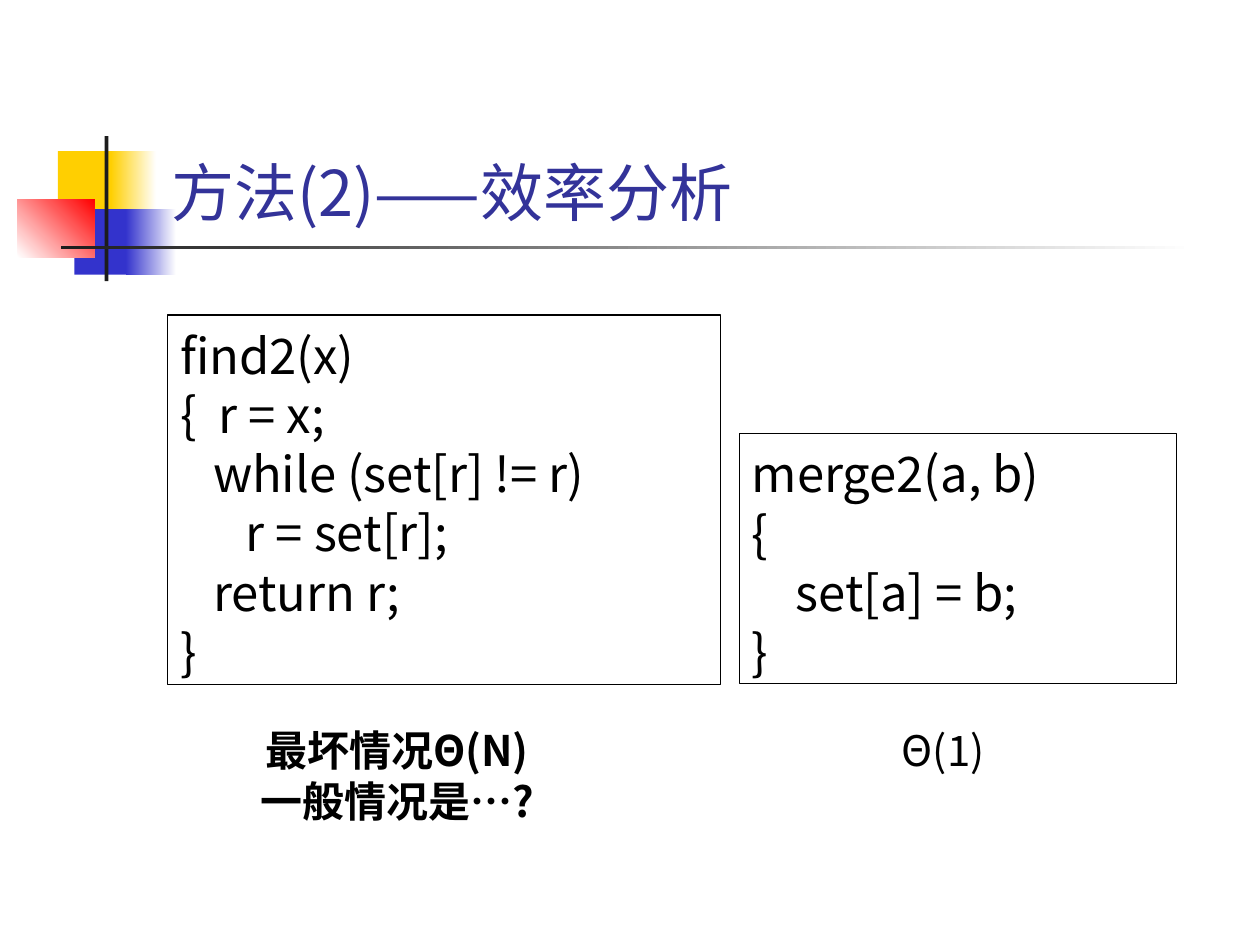
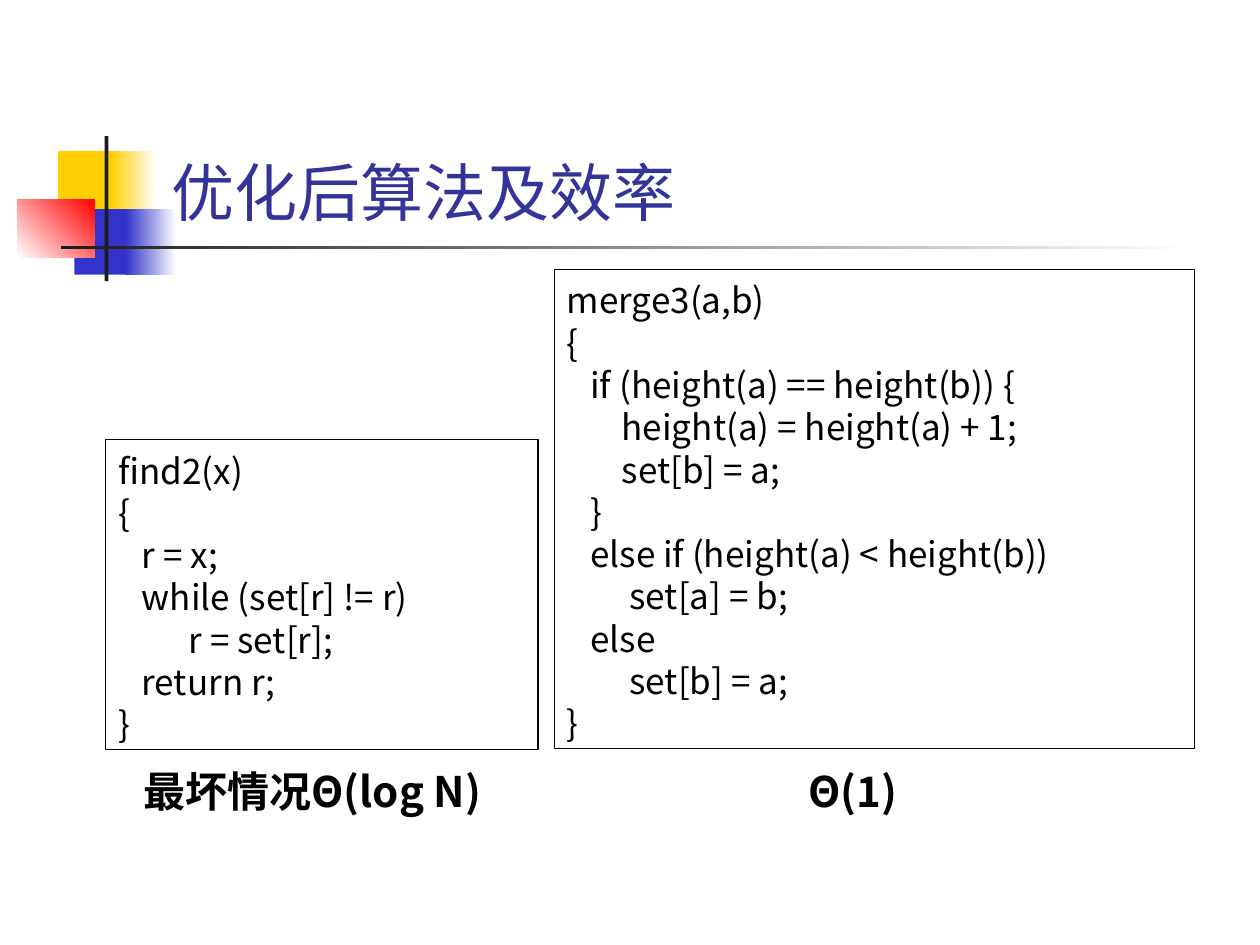
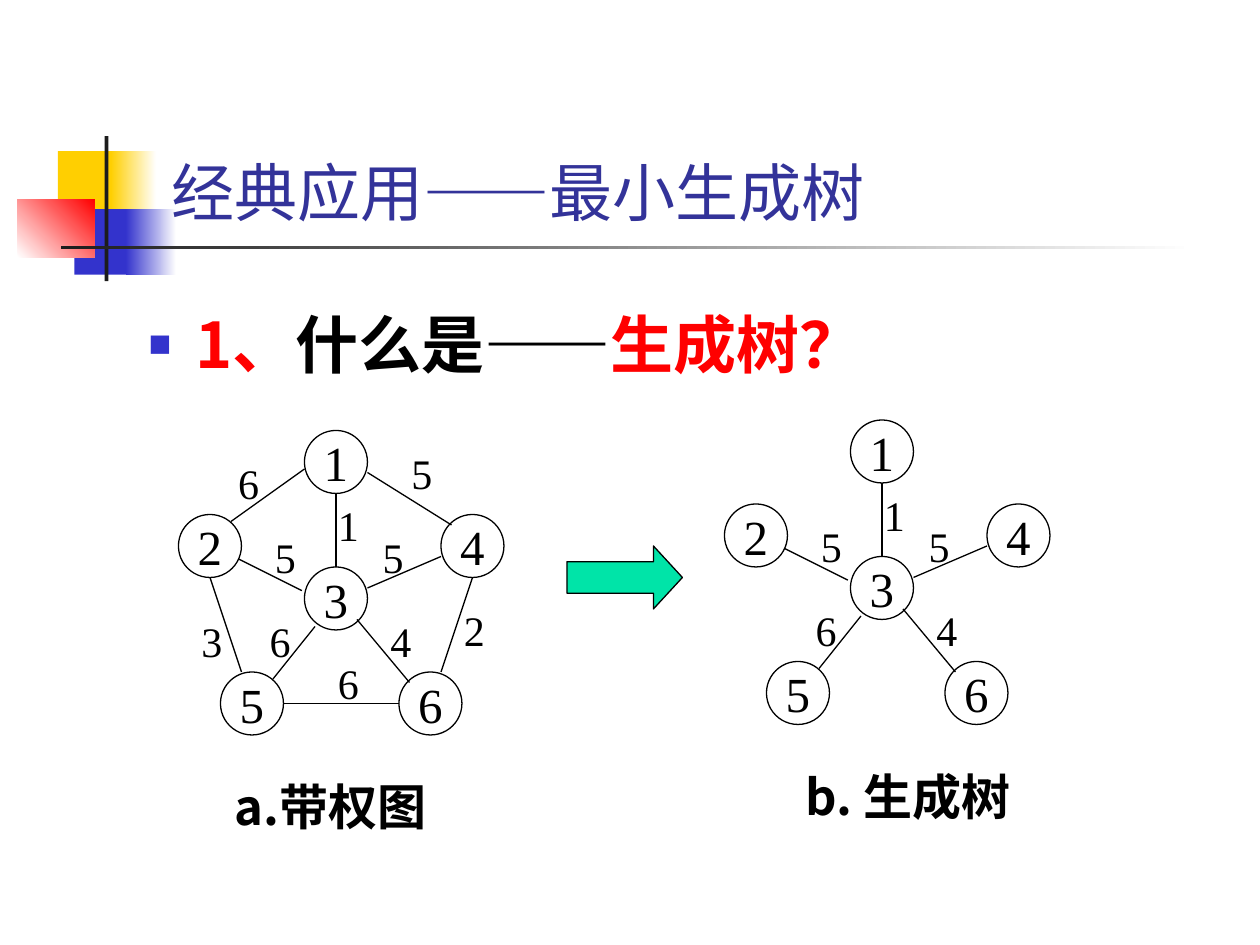
from dataclasses import dataclass
from typing import NamedTuple, Optional

from lxml.etree import SubElement
from pptx import Presentation
from pptx.dml.color import RGBColor
from pptx.enum.shapes import MSO_CONNECTOR as Connector, MSO_SHAPE as Preset
from pptx.enum.text import MSO_ANCHOR as Anchor, PP_ALIGN as Align
from pptx.oxml.ns import qn
from pptx.util import Pt


@dataclass(frozen=True)
class Theme:
    black: str = "000000"
    white: str = "FFFFFF"
    ink: str = "1C1C1C"
    yellow: str = "FFCF01"
    blue: str = "3333CC"
    red: str = "FF0000"
    green: str = "00E4A8"
    title: str = "333399"
    heading_size: float = 36
    large: float = 28
    medium: float = 24
    small: float = 20
    hairline: float = 0.75
    line_height: float = 1.207
    cjk_drop: float = 0.08      # baseline shift of the CJK fonts, in ems
    space_width: float = 0.224  # width of a space, in ems
    arial: str = "Arial"
    korean: str = "Noto Sans CJK KR"
    chinese: str = "Noto Sans CJK SC"
    serif: str = "Times New Roman"


THEME = Theme()


class Rect(NamedTuple):
    left: float
    top: float
    width: float
    height: float


class Span(NamedTuple):
    text: str
    font: str = THEME.chinese
    color: str = THEME.black
    bold: bool = False


class Band(NamedTuple):
    rect: Rect
    start: str
    end: Optional[str] = None
    angle: float = 0


class CodeLine(NamedTuple):
    indent: int
    text: str


class Edge(NamedTuple):
    weight: str
    start: tuple[float, float]
    end: tuple[float, float]
    label: tuple[float, float]
    in_tree: bool = False


BANDS = [
    Band(Rect(33.1, 86.4, 34.6, 37.4), THEME.yellow),
    Band(Rect(63.4, 86.4, 25.9, 37.4), THEME.yellow, THEME.white),
    Band(Rect(42.5, 119.5, 33.1, 37.4), THEME.blue),
    Band(Rect(72, 119.5, 28.8, 37.4), THEME.blue, THEME.white),
    Band(Rect(10.1, 113.8, 43.9, 33.1), THEME.white, THEME.red, 45),
    Band(Rect(59.8, 77.8, 2.2, 82.8), THEME.ink),
    Band(Rect(34.6, 140.4, 648, 2.2), THEME.ink, THEME.white),
]
TITLE_RECT = Rect(90.7, 16.6, 613.4, 115.2)

FIND_COMPACT = [
    CodeLine(0, "find2(x)"),
    CodeLine(0, "{  r = x;"),
    CodeLine(3, "while (set[r] != r)"),
    CodeLine(6, "r = set[r];"),
    CodeLine(3, "return r;"),
    CodeLine(0, "}"),
]
FIND = [
    CodeLine(0, "find2(x)"),
    CodeLine(0, "{"),
    CodeLine(3, "r = x;"),
    CodeLine(3, "while (set[r] != r)"),
    CodeLine(9, "r = set[r];"),
    CodeLine(3, "return r;"),
    CodeLine(0, "}"),
]
MERGE = [
    CodeLine(0, "merge2(a, b)"),
    CodeLine(0, "{"),
    CodeLine(4, "set[a] = b;"),
    CodeLine(0, "}"),
]
MERGE_BY_HEIGHT = [
    CodeLine(0, "merge3(a,b)"),
    CodeLine(0, "{"),
    CodeLine(3, "if (height(a) == height(b)) {"),
    CodeLine(7, "height(a) = height(a) + 1;"),
    CodeLine(7, "set[b] = a;"),
    CodeLine(3, "}"),
    CodeLine(3, "else if (height(a) < height(b))"),
    CodeLine(8, "set[a] = b;"),
    CodeLine(3, "else"),
    CodeLine(8, "set[b] = a;"),
    CodeLine(0, "}"),
]

NODE_SIZE = 36
NODES = {"1": (174, 246), "2": (102, 294), "3": (174, 324),
         "4": (252, 294), "5": (126, 384), "6": (228, 384)}
EDGES = [
    Edge("6", (132, 298), (174, 268), (129, 258)),
    Edge("6", (156, 388), (180, 358), (147, 348), in_tree=True),
    Edge("5", (210, 336), (252, 318), (211.5, 300), in_tree=True),
    Edge("5", (136.5, 319.5), (172.5, 337.5), (150, 300), in_tree=True),
    Edge("5", (210, 270), (258, 300), (228, 252)),
    Edge("2", (252, 384), (270, 330), (258, 342)),
    Edge("3", (138, 384), (120, 330), (108, 348)),
    Edge("6", (162, 402), (228, 402), (186, 372)),
    Edge("1", (192, 324), (192, 282), (186, 282), in_tree=True),
    Edge("4", (204, 354), (234, 390), (216, 348), in_tree=True),
]
TREE_SHIFT = (312, -6)


def rgb(color: str) -> RGBColor:
    return RGBColor.from_string(color)


def points(rect) -> list[int]:
    return [Pt(value) for value in rect]


def add_span(para, span: Span, size: float) -> None:
    run = para.add_run()
    run.text = span.text
    run.font.size = Pt(size)
    run.font.bold = span.bold
    run.font.color.rgb = rgb(span.color)
    run.font.name = span.font
    asian = THEME.korean if span.font == THEME.korean else THEME.chinese
    SubElement(run.font._element, qn("a:ea"), typeface=asian)


def write(shape, lines: list[list[Span]], size: float, align=Align.LEFT,
          anchor=Anchor.TOP, wrap: bool = True) -> None:
    """Fill a shape with one paragraph per list of spans."""
    frame = shape.text_frame
    frame.word_wrap = wrap
    frame.vertical_anchor = anchor
    drop = 0 if lines[0][0].font == THEME.serif else size * THEME.cjk_drop
    frame.margin_top, frame.margin_bottom = Pt(3.6 + drop), Pt(3.6 - drop)
    for index, spans in enumerate(lines):
        para = frame.add_paragraph() if index else frame.paragraphs[0]
        para.alignment = align
        para.line_spacing = Pt(size * THEME.line_height)
        for span in spans:
            add_span(para, span, size)


def set_indent(para, margin: float, first: float = 0):
    props = para._p.get_or_add_pPr()
    props.set("marL", str(Pt(margin)))
    props.set("indent", str(Pt(first)))
    return props


def add_bullet(para) -> None:
    props = set_indent(para, 27, -27)
    color = SubElement(props, qn("a:buClr"))
    SubElement(color, qn("a:srgbClr"), val=THEME.blue)
    SubElement(props, qn("a:buSzPct"), val="60000")
    SubElement(props, qn("a:buFont"), typeface=THEME.arial)
    SubElement(props, qn("a:buChar"), char="■")


def add_text(page, rect: Rect, lines: list[list[Span]], size: float, **layout):
    box = page.shapes.add_textbox(*points(rect))
    write(box, lines, size, **layout)
    return box


def add_outlined(page, preset, rect: Rect, fill: Optional[str] = None):
    shape = page.shapes.add_shape(preset, *points(rect))
    shape.shadow.inherit = False
    shape.line.color.rgb = rgb(THEME.black)
    shape.line.width = Pt(THEME.hairline)
    if fill:
        shape.fill.solid()
        shape.fill.fore_color.rgb = rgb(fill)
    else:
        shape.fill.background()
    return shape


def add_band(page, band: Band) -> None:
    shape = page.shapes.add_shape(Preset.RECTANGLE, *points(band.rect))
    shape.shadow.inherit = False
    shape.line.fill.background()
    if band.end is None:
        shape.fill.solid()
        shape.fill.fore_color.rgb = rgb(band.start)
        return
    shape.fill.gradient()
    shape.fill.gradient_angle = band.angle
    for stop, color in zip(shape.fill.gradient_stops, (band.start, band.end)):
        stop.color.rgb = rgb(color)


def add_page(deck, title: list[Span], rect: Rect = TITLE_RECT):
    """Add a slide with the shared bands and a title."""
    page = deck.slides.add_slide(deck.slide_layouts[6])
    for band in BANDS:
        add_band(page, band)
    add_text(page, rect, [title], THEME.heading_size, anchor=Anchor.BOTTOM)
    return page


def title_span(text: str, font: str = THEME.arial) -> Span:
    return Span(text, font, THEME.title)


def add_code(page, rect: Rect, code: list[CodeLine], size: float) -> None:
    box = add_outlined(page, Preset.RECTANGLE, rect)
    write(box, [[Span(line.text, THEME.korean)] for line in code], size)
    for para, line in zip(box.text_frame.paragraphs, code):
        set_indent(para, line.indent * THEME.space_width * size)


def add_edge(page, start: tuple[float, float], end: tuple[float, float]) -> None:
    line = page.shapes.add_connector(Connector.STRAIGHT, *points(start + end))
    line.line.color.rgb = rgb(THEME.black)
    line.line.width = Pt(THEME.hairline)
    SubElement(line._element.spPr, qn("a:effectLst"))


def add_graph(page, edges: list[Edge], shift: tuple[float, float] = (0, 0)) -> None:
    def moved(point: tuple[float, float]) -> tuple[float, float]:
        return point[0] + shift[0], point[1] + shift[1]

    for name, corner in NODES.items():
        node = add_outlined(page, Preset.OVAL, Rect(*moved(corner), NODE_SIZE, NODE_SIZE))
        write(node, [[Span(name, THEME.serif)]], THEME.large,
              align=Align.CENTER, anchor=Anchor.MIDDLE, wrap=False)
    for edge in edges:
        add_edge(page, moved(edge.start), moved(edge.end))
        add_text(page, Rect(*moved(edge.label), 24, 36), [[Span(edge.weight, THEME.serif)]],
                 THEME.medium, align=Align.CENTER, wrap=False)


def build_analysis(deck) -> None:
    page = add_page(deck, [title_span("方法"), title_span("(2)——", THEME.korean),
                           title_span("效率分析")], Rect(90.7, 63.4, 434.2, 68.4))
    add_code(page, Rect(95.8, 180, 316.1, 211), FIND_COMPACT, THEME.large)
    add_code(page, Rect(422.6, 247.7, 249.8, 142.9), MERGE, THEME.large)
    add_text(page, Rect(506.2, 408.2, 65.5, 36), [[Span("Θ(1)", THEME.korean)]],
             THEME.medium, align=Align.CENTER, wrap=False)
    add_text(page, Rect(124.6, 408.2, 204.5, 65.5),
             [[Span("最坏情况Θ(N)", bold=True)], [Span("一般情况是…?", bold=True)]],
             THEME.medium, align=Align.CENTER, anchor=Anchor.MIDDLE)


def build_optimised(deck) -> None:
    page = add_page(deck, [title_span("优化后算法及效率")])
    add_code(page, Rect(316.8, 154.1, 365.8, 273.6), MERGE_BY_HEIGHT, THEME.small)
    add_code(page, Rect(60.5, 251.3, 247, 177.1), FIND, THEME.small)
    add_text(page, Rect(74.9, 432, 231.8, 36),
             [[Span("最坏情况", bold=True), Span("Θ(log N)", THEME.korean, bold=True)]],
             THEME.medium)
    add_text(page, Rect(455, 432, 65.5, 36), [[Span("Θ(1)", THEME.korean, bold=True)]],
             THEME.medium)


def build_spanning_tree(deck) -> None:
    page = add_page(deck, [title_span("经典应用——最小生成树")])
    question = [Span("1、", color=THEME.red, bold=True), Span("什么是——", bold=True),
                Span("生成树？", color=THEME.red, bold=True)]
    box = add_text(page, Rect(77.8, 167.8, 468, 59.8), [question], THEME.heading_size)
    add_bullet(box.text_frame.paragraphs[0])

    add_graph(page, EDGES)
    add_graph(page, [edge for edge in EDGES if edge.in_tree], TREE_SHIFT)
    arrow = add_outlined(page, Preset.RIGHT_ARROW, Rect(324, 312, 66, 36), THEME.green)
    arrow.adjustments[0], arrow.adjustments[1] = 0.5, 0.46
    for caption, rect in (("a.带权图", Rect(120, 438, 138, 41)),
                          ("b. 生成树", Rect(438, 432, 162, 41))):
        add_text(page, rect, [[Span(caption, bold=True)]], THEME.large, align=Align.CENTER)


def main() -> None:
    deck = Presentation()
    deck.slide_width, deck.slide_height = Pt(720), Pt(540)
    build_analysis(deck)
    build_optimised(deck)
    build_spanning_tree(deck)
    deck.save("out.pptx")


if __name__ == "__main__":
    main()
